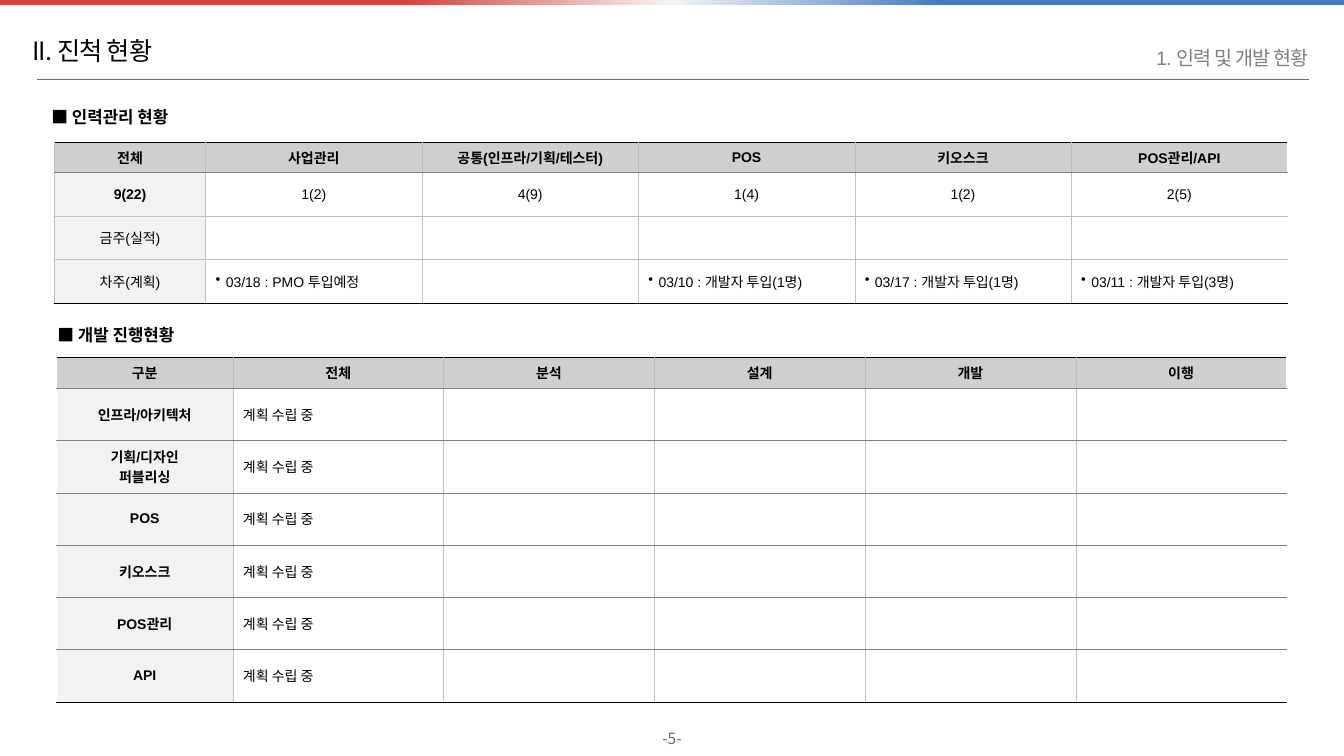
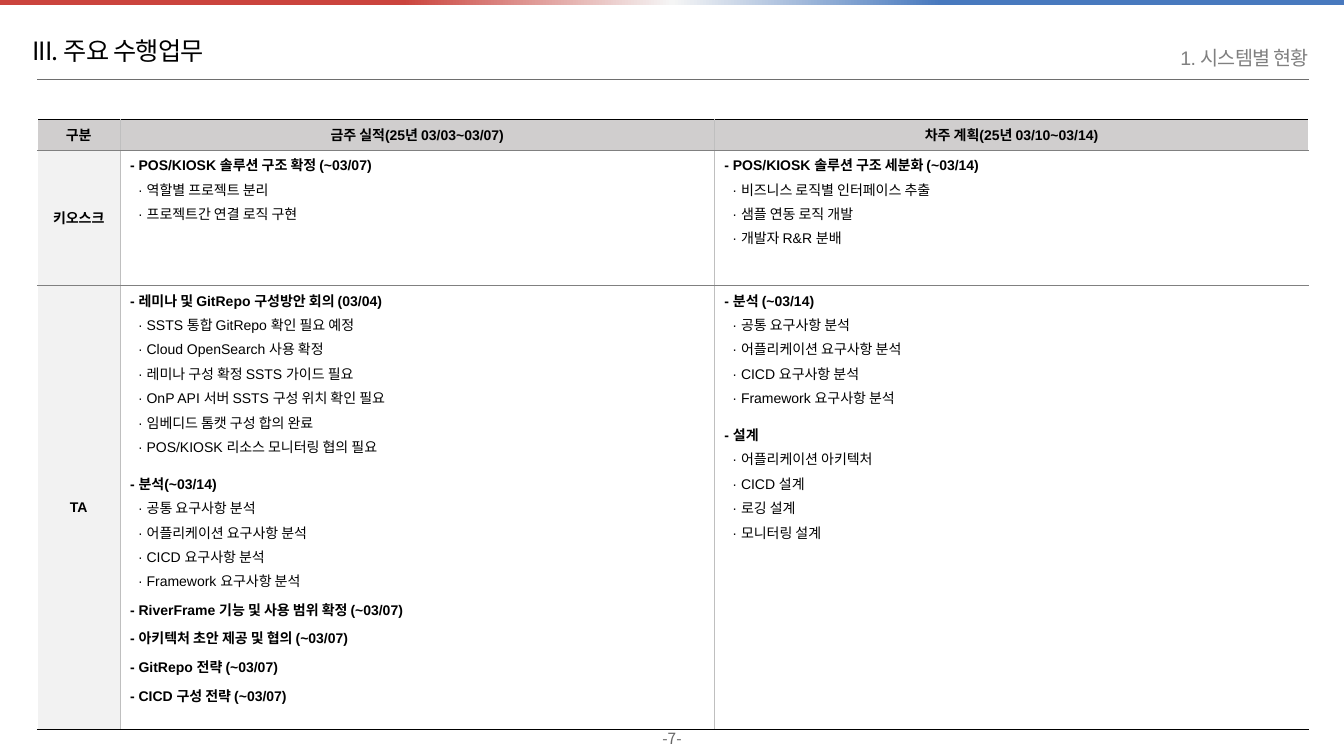
from copy import deepcopy
from dataclasses import dataclass

from lxml.etree import SubElement
from pptx import Presentation
from pptx.dml.color import RGBColor
from pptx.enum.shapes import MSO_CONNECTOR as Connector, MSO_SHAPE as Shape
from pptx.enum.text import MSO_ANCHOR as Anchor, MSO_AUTO_SIZE as AutoSize, PP_ALIGN as Align
from pptx.oxml.ns import qn
from pptx.util import Inches, Pt

WIDTH, HEIGHT = 13.33, 7.5
TITLE_ONLY = 5
SANS, KOREAN = "Arial", "Noto Sans CJK KR"

BLACK = RGBColor(0x00, 0x00, 0x00)
WHITE = RGBColor(0xFF, 0xFF, 0xFF)
RED = RGBColor(0xCB, 0x44, 0x3D)
PALE = RGBColor(0xF5, 0xF5, 0xF5)
BLUE = RGBColor(0x48, 0x79, 0xBE)
PAGE_GRAY = RGBColor(0x66, 0x66, 0x66)
RULE_GRAY = RGBColor(0x6E, 0x6E, 0x6E)
MID_GRAY = RGBColor(0x80, 0x80, 0x80)
LIGHT_GRAY = RGBColor(0xBF, 0xBF, 0xBF)
HEADER_FILL = RGBColor(0xD0, 0xCE, 0xCE)
LABEL_FILL = RGBColor(0xF2, 0xF2, 0xF2)

OUTER = (BLACK, 0.5)
OPEN = (WHITE, 1)
ROW_RULE = (MID_GRAY, 0.25)
SOFT_RULE = (LIGHT_GRAY, 0.5)
COLUMN_RULE = (LIGHT_GRAY, 0.25)


@dataclass
class Line:
    text: str
    bold: bool = False
    align: Align = Align.LEFT
    before: float = 0
    indent: float = 0
    bullet: str = ""


def across(percent):
    return Inches(WIDTH * percent / 100)


def down(percent):
    return Inches(HEIGHT * percent / 100)


def place(left, top, width, height):
    return across(left), down(top), across(width), down(height)


def centred(text, bold=False):
    return [Line(part, bold, Align.CENTER) for part in text.split("\n")]


def bulleted(text):
    return [Line(text, indent=0.1, bullet="•")] if text else []


def task(title, *steps, before=3):
    return [Line(title, True, before=before)] + [
        Line("· " + step, before=3, indent=0.08) for step in steps]


def add_run(paragraph, text, size, color, name=SANS, bold=False, spacing=0):
    run = paragraph.add_run()
    run.text = text
    font = run.font
    font.name, font.size, font.bold = name, Pt(size), bold
    font.color.rgb = color
    properties = run._r.get_or_add_rPr()
    SubElement(properties, qn("a:ea"), typeface=KOREAN)
    if spacing:
        properties.set("spc", str(round(spacing * 100)))


def format_frame(frame, side=0, wrap=True):
    frame.margin_left = frame.margin_right = Inches(side)
    frame.margin_top = frame.margin_bottom = 0
    frame.vertical_anchor = Anchor.MIDDLE
    frame.auto_size = AutoSize.NONE
    frame.word_wrap = wrap
    return frame.paragraphs[0]


def add_label(slide, box, text, size, color, align=Align.LEFT, side=0, wrap=True, **style):
    paragraph = format_frame(slide.shapes.add_textbox(*place(*box)).text_frame, side, wrap)
    paragraph.alignment = align
    add_run(paragraph, text, size, color, **style)
    return paragraph


def add_heading(slide, left, top, text):
    add_label(slide, (left, top, 90.92, 2.67), "■ " + text, 12, BLACK, side=0.1, bold=True)


def add_band(slide):
    band = slide.shapes.add_shape(Shape.RECTANGLE, *place(0, 0, 100, 0.67))
    band.shadow.inherit = False
    band.line.fill.background()
    band.fill.gradient()
    band.fill.gradient_angle = 0
    stop_list = band._element.spPr.find(".//" + qn("a:gsLst"))
    stop_list.append(deepcopy(stop_list[0]))
    for stop, position, color in zip(band.fill.gradient_stops, (0.3, 0.5, 0.7), (RED, PALE, BLUE)):
        stop.position = position
        stop.color.rgb = color


def add_rule(slide):
    rule = slide.shapes.add_connector(
        Connector.STRAIGHT, across(2.78), down(10.53), across(97.37), down(10.53))
    rule.line.color.rgb = RULE_GRAY
    rule.line.width = Pt(0.5)
    SubElement(rule._element.spPr, qn("a:effectLst"))


def add_page(presentation, title, topic, number):
    slide = presentation.slides.add_slide(presentation.slide_layouts[TITLE_ONLY])
    add_label(slide, (48.8, 96.4, 2.4, 2.53), f"-{number}-", 11, PAGE_GRAY,
              Align.CENTER, wrap=False, name=KOREAN)
    add_rule(slide)
    add_band(slide)
    heading = slide.shapes.title
    heading.left, heading.top, heading.width, heading.height = place(2.4, 4.13, 94.97, 5.6)
    paragraph = format_frame(heading.text_frame)
    paragraph.alignment = Align.LEFT
    paragraph.line_spacing = 0.9
    add_run(paragraph, title, 18, BLACK, KOREAN, spacing=-0.6)
    subtitle = add_label(slide, (75.39, 6.53, 21.98, 2.67), topic, 14, MID_GRAY,
                         Align.RIGHT, spacing=-0.6)
    subtitle.line_spacing = 0.9
    return slide


def set_borders(cell, borders):
    properties = cell._tc.get_or_add_tcPr()
    for index, (side, (color, width)) in enumerate(zip("LRTB", borders)):
        border = SubElement(properties, qn("a:ln" + side), w=str(Pt(width)))
        fill = SubElement(border, qn("a:solidFill"))
        SubElement(fill, qn("a:srgbClr"), val=str(color))
        properties.insert(index, border)


def write_cell(cell, lines):
    frame = cell.text_frame
    if not lines:
        SubElement(frame.paragraphs[0]._p, qn("a:endParaRPr"), sz="1000")
    for index, line in enumerate(lines):
        paragraph = frame.add_paragraph() if index else frame.paragraphs[0]
        paragraph.alignment = line.align
        if index and line.before:
            paragraph.space_before = Pt(line.before)
        properties = paragraph._p.get_or_add_pPr()
        if line.indent:
            properties.set("marL", str(Inches(line.indent)))
        if line.bullet:
            properties.set("indent", str(-Inches(line.indent)))
            SubElement(properties, qn("a:buChar"), char=line.bullet)
        add_run(paragraph, line.text, 10, BLACK, bold=line.bold)


def add_grid(slide, left, top, width, label_width, heights, rows,
             left_edge=OPEN, body_rule=ROW_RULE, body_anchor=Anchor.MIDDLE):
    row_count, column_count = len(rows), len(rows[0])
    table = slide.shapes.add_table(
        row_count, column_count, *place(left, top, width, sum(heights))).table
    table.first_row = table.horz_banding = False
    body_width = (width - label_width) / (column_count - 1)
    for index, column in enumerate(table.columns):
        column.width = across(body_width if index else label_width)
    for row, height in zip(table.rows, heights):
        row.height = down(height)
    vertical = [left_edge] + [COLUMN_RULE] * (column_count - 1) + [OPEN]
    horizontal = [OUTER, ROW_RULE] + [body_rule] * (row_count - 2) + [OUTER]
    for r, row in enumerate(rows):
        for c, lines in enumerate(row):
            cell = table.cell(r, c)
            is_body = r > 0 and c > 0
            cell.vertical_anchor = body_anchor if is_body else Anchor.MIDDLE
            if is_body:
                cell.fill.background()
            else:
                cell.fill.solid()
                cell.fill.fore_color.rgb = LABEL_FILL if r else HEADER_FILL
            set_borders(cell, (vertical[c], vertical[c + 1], horizontal[r], horizontal[r + 1]))
            write_cell(cell, lines)


def header(*titles):
    return [centred(title, True) for title in titles]


def add_status_page(presentation):
    slide = add_page(presentation, "II. 진척 현황", "1. 인력 및 개발 현황", 5)
    groups = ["인프라/아키텍처", "기획/디자인\n퍼블리싱", "POS", "키오스크", "POS관리", "API"]
    progress = [header("구분", "전체", "분석", "설계", "개발", "이행")] + [
        [centred(group, True), [Line("계획 수립 중")], [], [], [], []] for group in groups]
    add_grid(slide, 4.2, 47.33, 91.52, 13.13, [4] + [6.92] * len(groups), progress)

    counts = ["1(2)", "4(9)", "1(4)", "1(2)", "2(5)"]
    plans = ["03/18 : PMO 투입예정", "", "03/10 : 개발자 투입(1명)",
             "03/17 : 개발자 투입(1명)", "03/11 : 개발자 투입(3명)"]
    staffing = [
        header("전체", "사업관리", "공통(인프라/기획/테스터)", "POS", "키오스크", "POS관리/API"),
        [centred("9(22)", True)] + [centred(count) for count in counts],
        [centred("금주(실적)"), [], [], [], [], []],
        [centred("차주(계획)")] + [bulleted(plan) for plan in plans],
    ]
    add_grid(slide, 4.05, 18.8, 91.75, 11.25, [4] + [5.78] * 3, staffing,
             left_edge=COLUMN_RULE, body_rule=SOFT_RULE)
    add_heading(slide, 3.08, 14.13, "인력관리 현황")
    add_heading(slide, 3.53, 42.93, "개발 진행현황")


def add_work_page(presentation):
    slide = add_page(presentation, "III. 주요 수행업무", "1. 시스템별 현황", 7)
    analysis = ["공통 요구사항 분석", "어플리케이션 요구사항 분석",
                "CICD 요구사항 분석", "Framework 요구사항 분석"]
    kiosk_done = task("- POS/KIOSK 솔루션 구조 확정 (~03/07)",
                      "역할별 프로젝트 분리", "프로젝트간 연결 로직 구현")
    kiosk_next = task("- POS/KIOSK 솔루션 구조 세분화 (~03/14)",
                      "비즈니스 로직별 인터페이스 추출", "샘플 연동 로직 개발", "개발자 R&R 분배")
    architect_done = (
        task("- 레미나 및 GitRepo 구성방안 회의 (03/04)",
             "SSTS 통합 GitRepo 확인 필요 예정", "Cloud OpenSearch 사용 확정",
             "레미나 구성 확정 SSTS 가이드 필요", "OnP API 서버 SSTS 구성 위치 확인 필요",
             "임베디드 톰캣 구성 합의 완료", "POS/KIOSK 리소스 모니터링 협의 필요")
        + task("- 분석(~03/14)", *analysis, before=12)
        + task("- RiverFrame 기능 및 사용 범위 확정 (~03/07)", before=6)
        + task("- 아키텍처 초안 제공 및 협의 (~03/07)", before=6)
        + task("- GitRepo 전략 (~03/07)", before=6)
        + task("- CICD 구성 전략 (~03/07)", before=6))
    architect_next = task("- 분석 (~03/14)", *analysis) + task(
        "- 설계", "어플리케이션 아키텍처", "CICD 설계", "로깅 설계", "모니터링 설계", before=12)
    rows = [
        header("구분", "금주 실적(25년 03/03~03/07)", "차주 계획(25년 03/10~03/14)"),
        [centred("키오스크", True), kiosk_done, kiosk_next],
        [centred("TA", True), architect_done, architect_next],
    ]
    add_grid(slide, 2.78, 15.8, 94.6, 6.15, [4, 17.9, 58.8], rows, body_anchor=Anchor.TOP)


def main():
    presentation = Presentation()
    presentation.slide_width, presentation.slide_height = Inches(WIDTH), Inches(HEIGHT)
    add_status_page(presentation)
    add_work_page(presentation)
    presentation.save("out.pptx")


if __name__ == "__main__":
    main()
